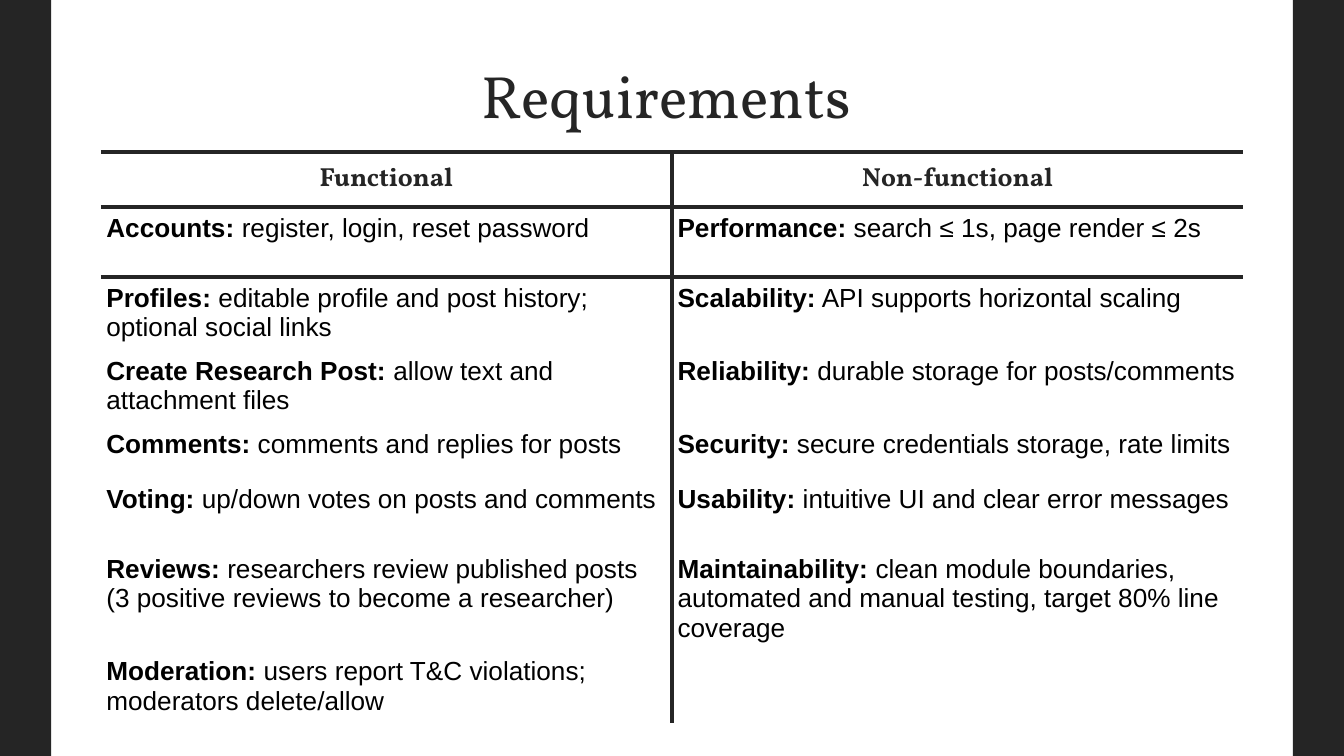
from typing import NamedTuple

from lxml.etree import SubElement
from pptx import Presentation
from pptx.dml.color import RGBColor
from pptx.enum.shapes import MSO_SHAPE
from pptx.enum.text import MSO_ANCHOR, MSO_AUTO_SIZE, PP_ALIGN
from pptx.oxml.ns import qn
from pptx.util import Inches, Pt

COLORS = {"dark": "252525", "text": "000000", "page": "FFFFFF"}
BORDER_WIDTH = Pt(2.25)
SIDE_BAR_WIDTH = 0.38
PAGE_WIDTH = 10
PAGE_HEIGHT = PAGE_WIDTH * 9 / 16


class Requirement(NamedTuple):
    label: str
    detail: str


class Row(NamedTuple):
    height: float
    functional: Requirement
    non_functional: Requirement | None


HEADINGS = ("Functional", "Non-functional")
HEADING_HEIGHT = 0.41
ROWS = [
    Row(0.52, Requirement("Accounts:", " register, login, reset password"),
        Requirement("Performance:", " search ≤ 1s, page render ≤ 2s")),
    Row(0.52, Requirement("Profiles: ", "editable profile and post history; optional social links"),
        Requirement("Scalability:", " API supports horizontal scaling")),
    Row(0.52, Requirement("Create Research Post:", " allow text and attachment files"),
        Requirement("Reliability: ", "durable storage for posts/comments")),
    Row(0.41, Requirement("Comments:", " comments and replies for posts"),
        Requirement("Security:", " secure credentials storage, rate limits")),
    Row(0.52, Requirement("Voting: ", "up/down votes on posts and comments"),
        Requirement("Usability:", " intuitive UI and clear error messages")),
    Row(0.68, Requirement("Reviews: ", "researchers review published posts \n"
                          "(3 positive reviews to become a researcher)"),
        Requirement("Maintainability:", " clean module boundaries, automated and manual testing, "
                    "target 80% line coverage")),
    Row(0.52, Requirement("Moderation:", " users report T&C violations; moderators delete/allow"),
        None),
]

HEADING_FONT = {"name": "Vollkorn", "size": Pt(14), "bold": True}
BODY_FONT = {"name": "Arial", "size": Pt(14)}
TITLE_FONT = {"name": "Vollkorn", "size": Pt(32), "bold": False}
CELL_FORMAT = {"margin_left": Pt(3), "margin_right": Pt(3),
               "margin_top": Pt(3.8), "margin_bottom": Pt(3.8)}
TITLE_FORMAT = {"margin_left": Inches(0.1), "margin_right": Inches(0.1),
                "margin_top": Inches(0.1), "margin_bottom": Inches(0.1),
                "word_wrap": True, "auto_size": MSO_AUTO_SIZE.NONE,
                "vertical_anchor": MSO_ANCHOR.TOP}


def apply_format(target, values: dict) -> None:
    for name, value in values.items():
        setattr(target, name, value)


def add_span(para, text: str, font: dict, color: str) -> None:
    """Add text in one format, with a line break at each newline."""
    for index, line in enumerate(text.split("\n")):
        if index:
            para.add_line_break()
        span = para.add_run()
        span.text = line
        apply_format(span.font, font)
        span.font.color.rgb = RGBColor.from_string(COLORS[color])


def add_side_bar(page, left: float) -> None:
    bar = page.shapes.add_shape(MSO_SHAPE.RECTANGLE, Inches(left), 0,
                                Inches(SIDE_BAR_WIDTH), Inches(PAGE_HEIGHT))
    bar.shadow.inherit = False
    bar.fill.solid()
    bar.fill.fore_color.rgb = RGBColor.from_string(COLORS["dark"])
    bar.line.fill.background()


def set_borders(cell, sides: str) -> None:
    """Draw the named sides (L, R, T, B) and clear the others."""
    properties = cell._tc.get_or_add_tcPr()
    for side in "LRTB":
        line = SubElement(properties, qn(f"a:ln{side}"), w=str(int(BORDER_WIDTH)))
        if side in sides:
            fill = SubElement(line, qn("a:solidFill"))
            SubElement(fill, qn("a:srgbClr"), val=COLORS["dark"])
        else:
            SubElement(line, qn("a:noFill"))


def format_cell(cell, row: int, column: int) -> None:
    apply_format(cell, CELL_FORMAT)
    sides = "L" if column else "R"
    if row <= 2:
        sides += "T"
    if row <= 1:
        sides += "B"
    set_borders(cell, sides)
    cell.fill.background()


def add_requirements_table(page) -> None:
    heights = [HEADING_HEIGHT] + [row.height for row in ROWS]
    table = page.shapes.add_table(len(heights), len(HEADINGS), Inches(0.75), Inches(1.13),
                                  Inches(8.5), Inches(sum(heights))).table
    apply_format(table, {"first_row": False, "horz_banding": False})
    for index, height in enumerate(heights):
        table.rows[index].height = Inches(height)
        for column in range(len(HEADINGS)):
            format_cell(table.cell(index, column), index, column)

    # Headings
    for column, heading in enumerate(HEADINGS):
        cell = table.cell(0, column)
        cell.vertical_anchor = MSO_ANCHOR.MIDDLE
        para = cell.text_frame.paragraphs[0]
        para.alignment = PP_ALIGN.CENTER
        add_span(para, heading, HEADING_FONT, "dark")

    # Requirements
    for index, row in enumerate(ROWS, start=1):
        for column, requirement in enumerate((row.functional, row.non_functional)):
            if requirement:
                para = table.cell(index, column).text_frame.paragraphs[0]
                add_span(para, requirement.label, BODY_FONT | {"bold": True}, "text")
                add_span(para, requirement.detail, BODY_FONT | {"bold": False}, "text")


def add_title(page, text: str) -> None:
    title = page.shapes.title
    apply_format(title, {"left": Inches(0.75), "top": Inches(0.34),
                         "width": Inches(8.42), "height": Inches(0.63)})
    apply_format(title.text_frame, TITLE_FORMAT)
    para = title.text_frame.paragraphs[0]
    para.alignment = PP_ALIGN.CENTER
    add_span(para, text, TITLE_FONT, "dark")


def main() -> None:
    deck = Presentation()
    deck.slide_width, deck.slide_height = Inches(PAGE_WIDTH), Inches(PAGE_HEIGHT)
    page = deck.slides.add_slide(deck.slide_layouts[5])
    page.background.fill.solid()
    page.background.fill.fore_color.rgb = RGBColor.from_string(COLORS["page"])

    for left in (0, PAGE_WIDTH - SIDE_BAR_WIDTH):
        add_side_bar(page, left)
    add_requirements_table(page)
    add_title(page, "Requirements")
    deck.save("out.pptx")


if __name__ == "__main__":
    main()
